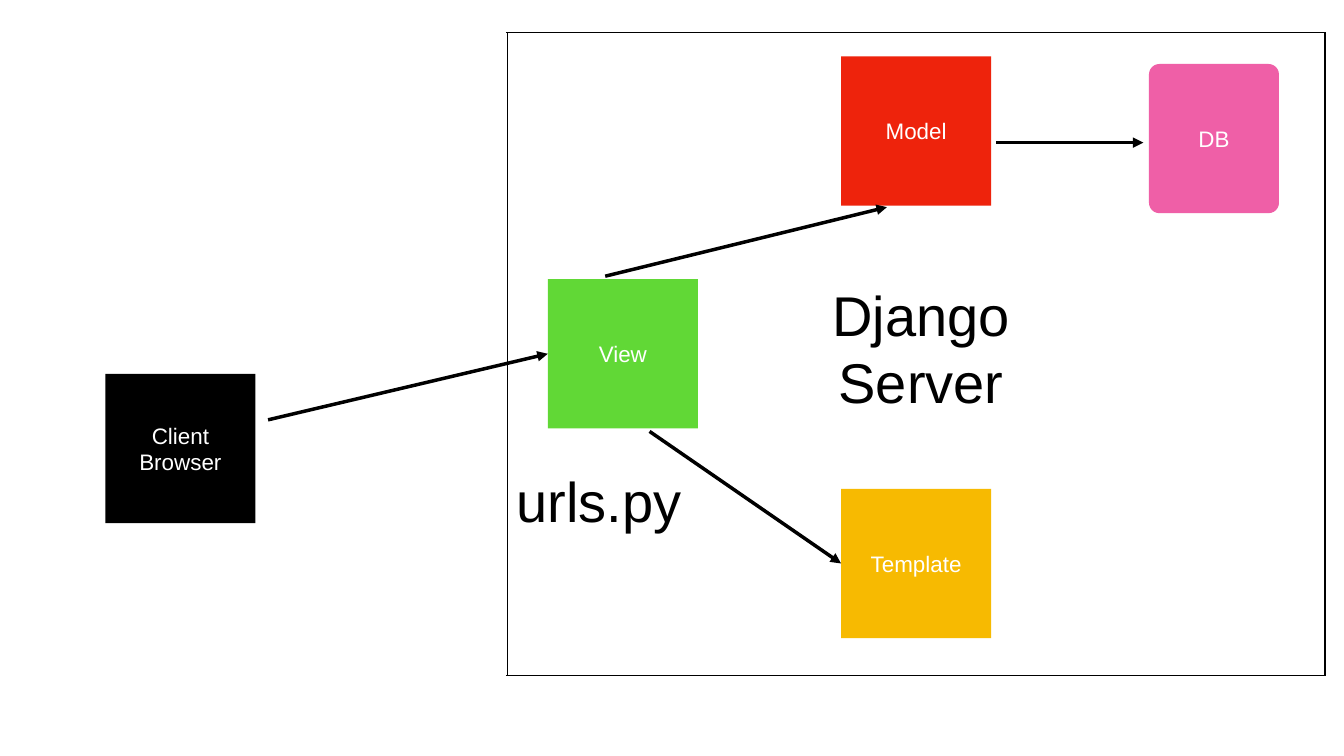
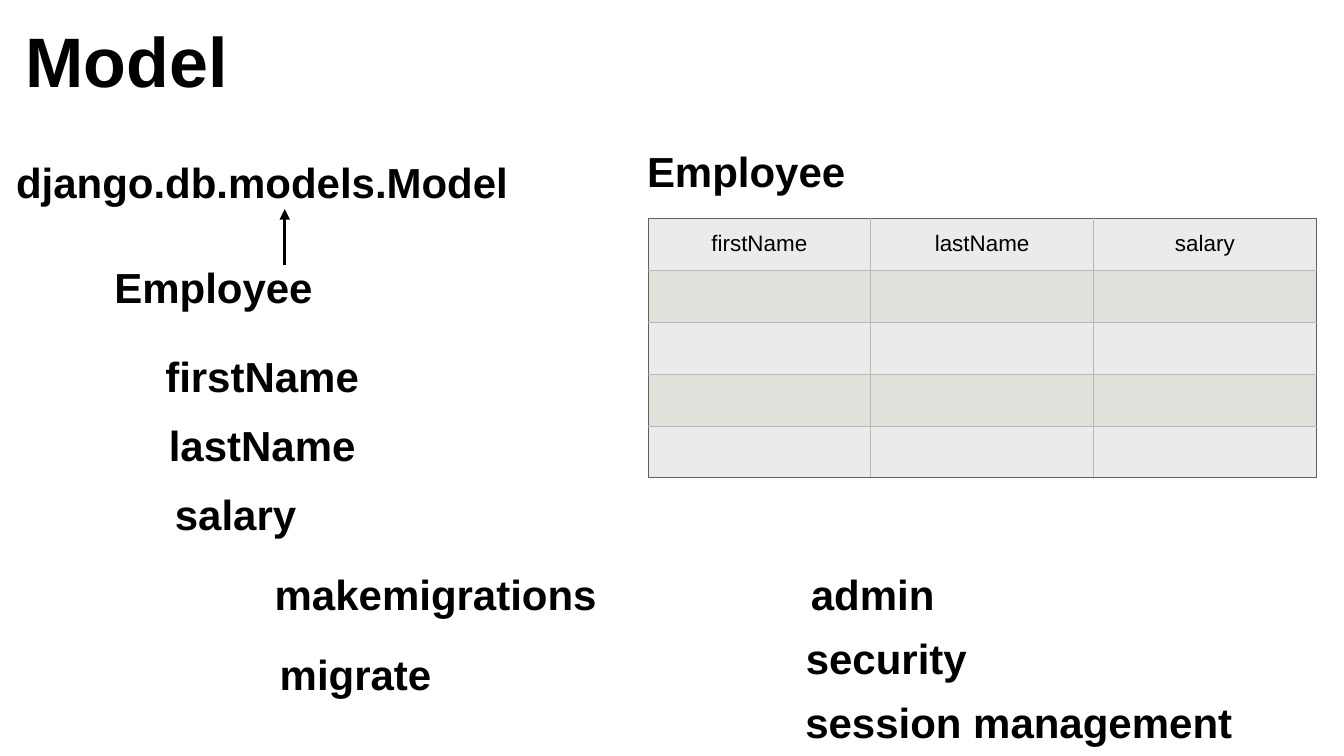
"""Two slides on the Django request flow and its model layer."""
from dataclasses import dataclass

from lxml.etree import SubElement as Sub
from pptx import Presentation
from pptx.dml.color import RGBColor as Rgb
from pptx.enum.shapes import MSO_CONNECTOR as Conn, MSO_SHAPE as Shape
from pptx.enum.text import MSO_ANCHOR as Anchor, MSO_AUTO_SIZE as Fit, PP_ALIGN as Align
from pptx.oxml.ns import qn
from pptx.util import Emu, Pt


@dataclass(frozen=True)
class Theme:
    font: str = "Arial"
    ink: str = "000000"
    paper: str = "FFFFFF"
    rim: str = "606060"
    grid: str = "B8B8B8"
    bands: tuple = ("EBEBEB", "E1E0DA")
    small: int = 32
    head: int = 60
    large: int = 80
    title: int = 100
    arrow: int = 5
    frame: int = 2
    cell: int = 1


T = Theme()
PX = 9144
WIDE, HIGH = 2667, 1500
PAD = 6

BOXES = {
    "View": (1087, 554, 298, "61D836"),
    "Model": (1669, 112, 298, "EE230C"),
    "Template": (1669, 970, 298, "F7BA01"),
    "Client\nBrowser": (209, 742, 298, T.ink),
    "DB": (2280, 127, 258, "EF5FA7"),
}
BOX_HIGH = 296
LABELS = [
    ("urls.py", 1017, 922, 344, 140),
    ("Django Server", 1638, 554, 380, 270),
]
FRAME = (1007, 64, 2629, 1340)
LIP = 3
FLOWS = [
    ((1977, 283), (2269, 283), None),
    ((532, 833), (1087, 702), "View"),
    ((1289, 856), (1669, 1118), "Template"),
    ((1201, 548), (1760, 411), None),
]

TITLE = ("Model", 45, 30, 462, 178)
HEADS = [
    ("django.db.models.Model", 26, 305, 1018),
    ("Employee", 221, 513, 427),
    ("firstName", 322, 690, 426),
    ("lastName", 329, 827, 412),
    ("salary", 341, 964, 273),
    ("makemigrations", 539, 1123, 679),
    ("migrate", 549, 1281, 341),
    ("admin", 1603, 1123, 281),
    ("security", 1593, 1250, 352),
    ("session management", 1592, 1377, 884),
    ("Employee", 1278, 284, 427),
]
HEAD_HIGH = 111
PARENT = ((565, 526), (565, 415))
FIELDS = ["firstName", "lastName", "salary"]
ROWS = 5
GRID = (1286, 433)
COL, ROW = 442, 103


def px(*nums):
    return [Emu(n * PX) for n in nums]


def style(frame, size, color=T.ink, bold=False, align=Align.CENTER, pad=PAD):
    frame.word_wrap = True
    frame.auto_size = Fit.NONE
    frame.vertical_anchor = Anchor.MIDDLE
    for side in ("left", "top", "right", "bottom"):
        setattr(frame, f"margin_{side}", Emu(pad * PX))
    for para in frame.paragraphs:
        para.alignment = align
        font = para.font
        font.name, font.size, font.bold = T.font, Pt(size), bold
        font.color.rgb = Rgb.from_string(color)


def add_text(slide, text, spot, size, **look):
    frame = slide.shapes.add_textbox(*px(*spot)).text_frame
    frame.text = text
    style(frame, size, **look)


def add_box(slide, name, left, top, wide, color):
    kind = Shape.ROUNDED_RECTANGLE if name == "DB" else Shape.RECTANGLE
    box = slide.shapes.add_shape(kind, *px(left, top, wide, BOX_HIGH))
    if name == "DB":
        box.adjustments[0] = 0.08
    box.shadow.inherit = False
    box.fill.solid()
    box.fill.fore_color.rgb = Rgb.from_string(color)
    box.line.fill.background()
    box.text_frame.text = name
    style(box.text_frame, T.small, T.paper, pad=0)
    return box


def add_line(slide, start, end, width, arrow=False):
    line = slide.shapes.add_connector(Conn.STRAIGHT, *px(*start, *end))
    line.line.width = Pt(width)
    line.line.color.rgb = Rgb.from_string(T.ink)
    if arrow:
        Sub(line.line._get_or_add_ln(), qn("a:tailEnd"), type="triangle")
    Sub(line._element.spPr, qn("a:effectLst"))
    return line


def add_edge(cell, side, color):
    edge = Sub(cell._tc.get_or_add_tcPr(), qn(f"a:ln{side}"), w=str(Pt(T.cell)))
    Sub(Sub(edge, qn("a:solidFill")), qn("a:srgbClr"), val=color)


def add_grid(slide):
    cols = len(FIELDS)
    shape = slide.shapes.add_table(ROWS, cols, *px(*GRID, COL * cols, ROW * ROWS))
    table = shape.table
    table.first_row = table.horz_banding = False
    for r in range(ROWS):
        for c in range(cols):
            cell = table.cell(r, c)
            rims = {"L": c == 0, "R": c == cols - 1, "T": r == 0, "B": r == ROWS - 1}
            for side, outer in rims.items():
                add_edge(cell, side, T.rim if outer else T.grid)
            cell.fill.solid()
            cell.fill.fore_color.rgb = Rgb.from_string(T.bands[r % 2])
    for c, name in enumerate(FIELDS):
        cell = table.cell(0, c)
        cell.text = name
        style(cell.text_frame, T.small)
        cell.vertical_anchor = Anchor.MIDDLE
        cell.margin_left = cell.margin_right = Emu(PAD * PX)
        cell.margin_top = cell.margin_bottom = Emu(PAD * PX)


def draw_flow(deck):
    slide = deck.slides.add_slide(deck.slide_layouts[6])
    boxes = {name: add_box(slide, name, *spot) for name, spot in BOXES.items()}
    left, top, right, base = FRAME
    for y in (top, base):
        add_line(slide, (left - LIP, y), (right + LIP, y), T.frame)
    for x in (left, right):
        add_line(slide, (x, top), (x, base), T.frame)
    for text, *spot in LABELS:
        add_text(slide, text, spot, T.large)
    for start, end, goal in FLOWS:
        line = add_line(slide, start, end, T.arrow, arrow=True)
        if goal:
            line.end_connect(boxes[goal], 1)


def draw_model(deck):
    slide = deck.slides.add_slide(deck.slide_layouts[5])
    title = slide.shapes.title
    text, *spot = TITLE
    title.left, title.top, title.width, title.height = px(*spot)
    title.text_frame.text = text
    style(title.text_frame, T.title, bold=True, align=Align.LEFT)
    for text, *spot in HEADS:
        add_text(slide, text, (*spot, HEAD_HIGH), T.head, bold=True, align=Align.LEFT)
    add_grid(slide)
    add_line(slide, *PARENT, T.arrow, arrow=True)


def main():
    deck = Presentation()
    deck.slide_width, deck.slide_height = px(WIDE, HIGH)
    draw_flow(deck)
    draw_model(deck)
    deck.save("out.pptx")


if __name__ == "__main__":
    main()
